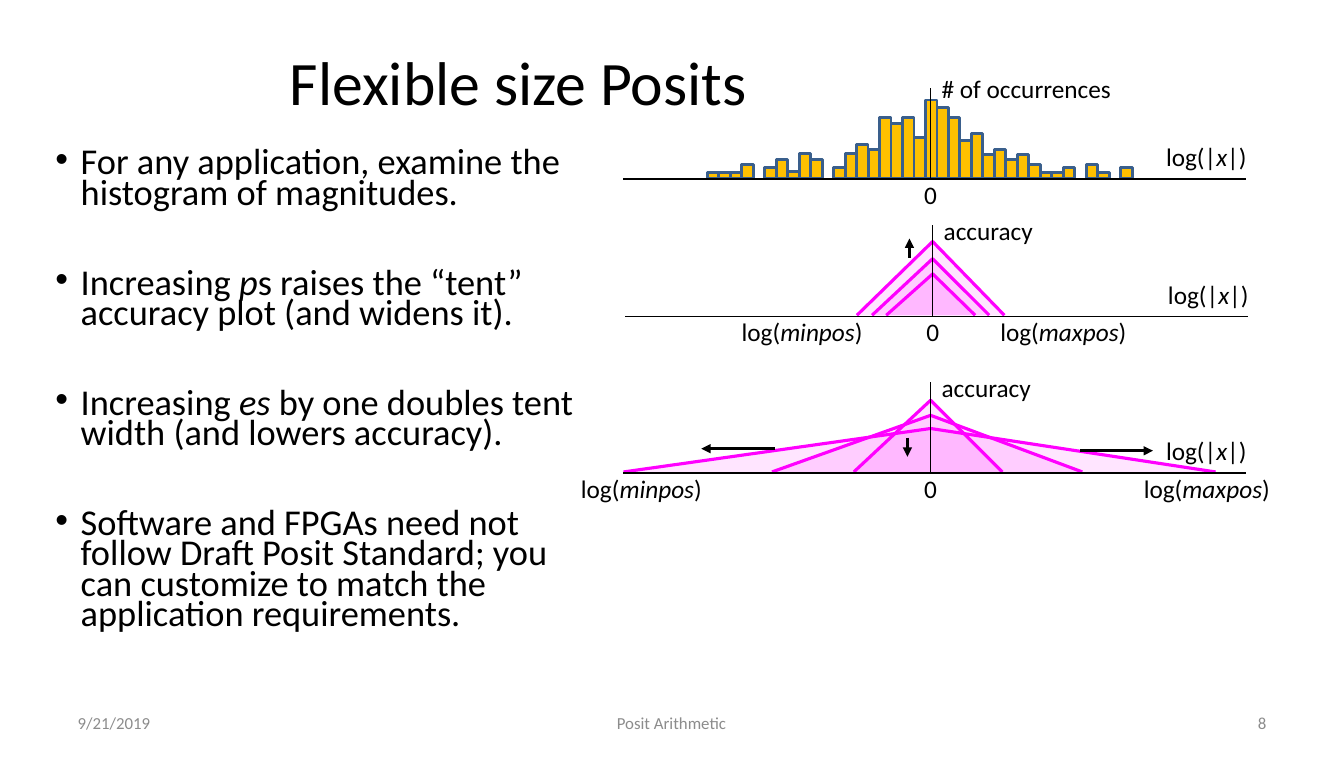
import dataclasses

import pptx
import pptx.dml.color
import pptx.enum.shapes
import pptx.enum.text
import pptx.oxml.ns
import pptx.util
from lxml import etree

ALIGN = pptx.enum.text.PP_ALIGN
ANCHOR = pptx.enum.text.MSO_ANCHOR


@dataclasses.dataclass(frozen=True)
class Theme:
    font: str = "Calibri"
    ink: str = "000000"
    muted: str = "8C8C8C"
    bar_fill: str = "FFC000"
    bar_line: str = "3A5F8C"
    tent: str = "FF00FF"
    tent_alpha: int = 10
    title_size: float = 44
    body_size: float = 25.9
    label_size: float = 18
    footer_size: float = 12
    thin: float = 1
    medium: float = 2
    thick: float = 2.25


def grid(cells):
    """Length of a number of grid cells; ten columns or rows make an inch."""
    return pptx.util.Inches(cells / 10)


def rgb(code):
    return pptx.dml.color.RGBColor.from_string(code)


def add_xml(parent, tag, **attributes):
    return etree.SubElement(parent, pptx.oxml.ns.qn(tag), attributes)


class PositSlide:
    def __init__(self, slide, theme):
        self.shapes = slide.shapes
        self.theme = theme

    def text(self, col, row, cols, rows, lines, size=None, color=None, align=ALIGN.LEFT,
             anchor=ANCHOR.TOP, spacing=1.0, gap=0, bullet=False):
        """Text box with one paragraph a line; words between asterisks are italic."""
        frame = self.shapes.add_textbox(*map(grid, (col, row, cols, rows))).text_frame
        frame.word_wrap = True
        frame.vertical_anchor = anchor
        for index, line in enumerate(lines):
            paragraph = frame.add_paragraph() if index else frame.paragraphs[0]
            paragraph.alignment = align
            paragraph.line_spacing = spacing
            paragraph.space_before = pptx.util.Pt(gap if index else 0)
            if bullet:
                properties = paragraph._p.get_or_add_pPr()
                properties.set("marL", str(grid(2.5)))
                properties.set("indent", str(-grid(2.5)))
                add_xml(properties, "a:buFont", typeface="Arial")
                add_xml(properties, "a:buChar", char="•")
            paragraph.font.name = self.theme.font
            paragraph.font.size = pptx.util.Pt(size or self.theme.label_size)
            paragraph.font.color.rgb = rgb(color or self.theme.ink)
            for part, words in enumerate(line.split("*")):
                run = paragraph.add_run()
                run.text = words
                if part % 2:
                    run.font.italic = True

    def line(self, start, end, width, arrow=False):
        connector = self.shapes.add_connector(
            pptx.enum.shapes.MSO_CONNECTOR.STRAIGHT, *map(grid, (*start, *end)))
        connector.line.color.rgb = rgb(self.theme.ink)
        connector.line.width = pptx.util.Pt(width)
        if arrow:
            add_xml(connector.line._get_or_add_ln(), "a:tailEnd", type="triangle")
        add_xml(connector._element.spPr, "a:effectLst")

    def arrow(self, start, end):
        self.line(start, end, self.theme.thick, arrow=True)

    def paint(self, shape, fill, line, width):
        shape.shadow.inherit = False
        shape.fill.solid()
        shape.fill.fore_color.rgb = rgb(fill)
        shape.line.color.rgb = rgb(line)
        shape.line.width = pptx.util.Pt(width)

    def bars(self, col, base, pitch, heights):
        for slot, height in enumerate(heights):
            if height:
                bar = self.shapes.add_shape(
                    pptx.enum.shapes.MSO_SHAPE.RECTANGLE,
                    *map(grid, (col + slot * pitch, base - height, pitch, height)))
                self.paint(bar, self.theme.bar_fill, self.theme.bar_line, self.theme.medium)

    def tent(self, left, right, peak, base):
        """Translucent open triangle; peak is a column and a row."""
        builder = self.shapes.build_freeform(grid(left), grid(base))
        builder.add_line_segments([tuple(map(grid, peak)), (grid(right), grid(base))],
                                  close=False)
        tent = builder.convert_to_shape()
        self.paint(tent, self.theme.tent, self.theme.tent, self.theme.thick)
        color = tent._element.spPr.find(".//" + pptx.oxml.ns.qn("a:srgbClr"))
        add_xml(color, "a:alpha", val=str(self.theme.tent_alpha * 1000))

    def axes(self, zero, base, name, name_rise=10.5):
        left = zero - 30.4
        self.line((left, base), (left + 61.6, base), self.theme.thin)
        self.line((zero, base), (zero, base - 9), self.theme.thin)
        self.text(zero + 0.1, base - name_rise, 26, 4.7, [name])
        self.text(zero + 22.3, base - 4.2, 10.5, 4, ["log(|*x*|)"])
        self.text(zero - 2, base - 0.45, 4, 4, ["0"], align=ALIGN.CENTER)

    def limits(self, minimum, maximum, base):
        for col, word in ((minimum, "minpos"), (maximum, "maxpos")):
            self.text(col, base - 0.5, 15.5, 4, [f"log(*{word}*)"])


OCCURRENCES = [0.6, 0.6, 0.6, 1.4, 0, 1.1, 1.9, 0.7, 2.5, 1.9, 0, 1.1, 2.5, 3.4, 2.9,
               6.1, 5.5, 6.1, 4.1, 7.8, 7.1, 6.1, 3.8, 4.5, 2.4, 2.9, 1.9, 2.4, 1.4,
               0.6, 0.6, 1.1, 0, 1.4, 0.6, 0, 1.1]
POINTS = [
    "For any application, examine the histogram of magnitudes.",
    "Increasing *p*s raises the “tent” accuracy plot (and widens it).",
    "Increasing *es *by one doubles tent width (and lowers accuracy).",
    "Software and FPGAs need not follow Draft Posit Standard; "
    "you can customize to match the application requirements.",
]
# Left foot, right foot and peak row of each tent
RAISED_TENTS = [(84.8, 99.4, 23.9), (86.3, 97.9, 25.6), (87.7, 96.5, 27.1)]
WIDENED_TENTS = [(61.7, 120.3, 42.4), (76.4, 107.1, 41.1), (84.5, 99.2, 39.6)]
FOOTERS = [(6.7, 31, "9/21/2019", ALIGN.LEFT),
           (45.4, 42.1, "Posit Arithmetic", ALIGN.CENTER),
           (95.3, 31, "8", ALIGN.RIGHT)]


def main():
    deck = pptx.Presentation()
    deck.slide_width, deck.slide_height = pptx.util.Inches(13.3), pptx.util.Inches(7.5)
    theme = Theme()
    page = PositSlide(deck.slides.add_slide(deck.slide_layouts[6]), theme)

    page.text(27.7, 3.1, 54.8, 10.8, ["Flexible size Posits"], theme.title_size,
              anchor=ANCHOR.MIDDLE, spacing=0.9)
    page.text(4.5, 14.4, 54.2, 51.4, POINTS, theme.body_size,
              spacing=0.7, gap=42, bullet=True)

    histogram_base = 17.7
    page.bars(70, histogram_base, 1.136, OCCURRENCES)
    page.axes(92.1, histogram_base, "# of occurrences", name_rise=10.9)

    for zero, base, tents, minimum, maximum in (
            (92.3, 31.3, RAISED_TENTS, 72.4, 98),
            (92.1, 46.8, WIDENED_TENTS, 56.5, 112.2)):
        for left, right, peak_row in tents:
            page.tent(left, right, (zero, peak_row), base - 0.1)
        page.axes(zero, base, "accuracy")
        page.limits(minimum, maximum, base)

    page.arrow((90, 25.5), (90, 23.6))
    page.arrow((89.8, 43.3), (89.8, 45.2))
    page.arrow((76.7, 44.4), (69.4, 44.4))
    page.arrow((106.9, 44.6), (114.1, 44.6))

    for col, cols, words, align in FOOTERS:
        page.text(col, 69.5, cols, 4, [words], theme.footer_size, theme.muted,
                  align, ANCHOR.MIDDLE)
    deck.save("out.pptx")


if __name__ == "__main__":
    main()
